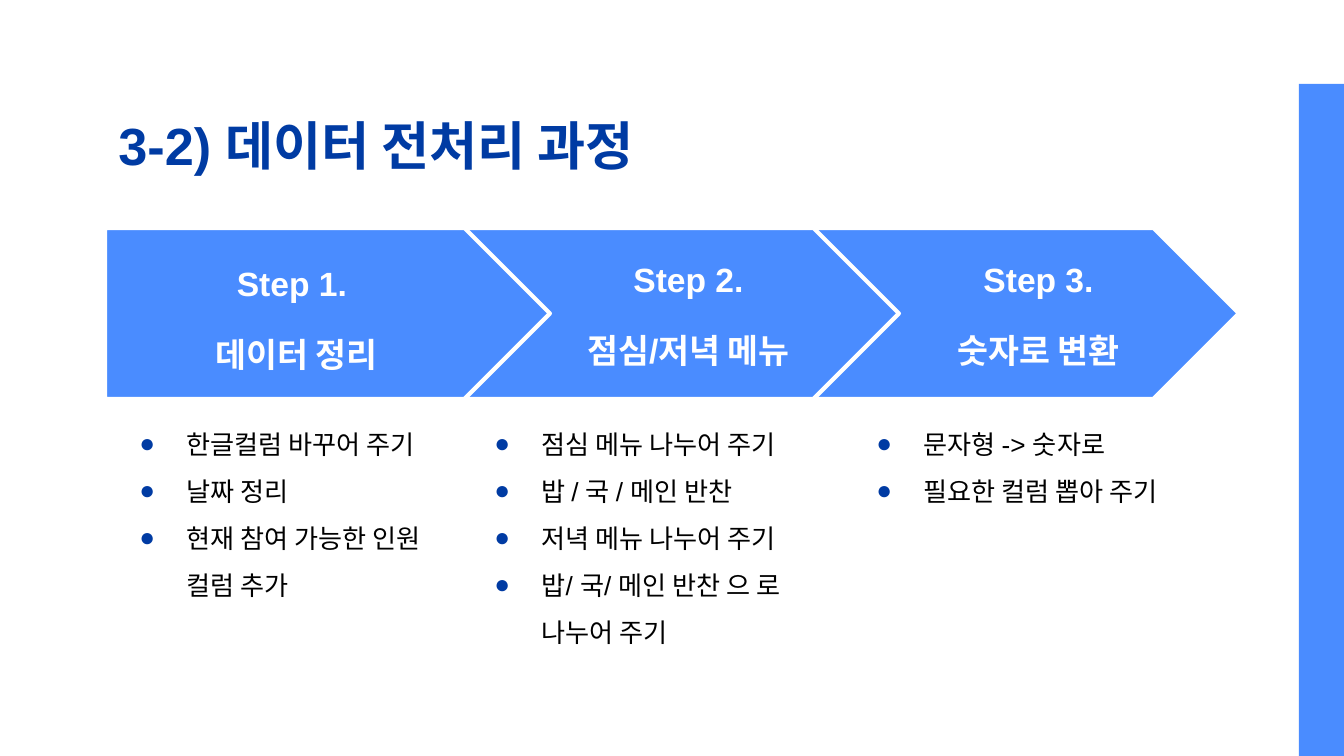
from lxml import etree
from pptx import Presentation
from pptx.dml.color import RGBColor
from pptx.enum.shapes import MSO_SHAPE
from pptx.enum.text import MSO_ANCHOR, MSO_AUTO_SIZE, PP_ALIGN
from pptx.oxml.ns import qn
from pptx.util import Inches, Pt

PENTAGON = MSO_SHAPE.PENTAGON
RECTANGLE = MSO_SHAPE.RECTANGLE
TOP, MIDDLE = MSO_ANCHOR.TOP, MSO_ANCHOR.MIDDLE
LEFT, CENTER = PP_ALIGN.LEFT, PP_ALIGN.CENTER
NO_AUTOFIT = MSO_AUTO_SIZE.NONE

BLUE, NAVY, WHITE, BLACK = "4A8CFF", "003BA3", "FFFFFF", "000000"
FONT = "Arial"
EMU_PER_PX = 914400 / 134.4

TITLE = "3-2) 데이터 전처리 과정"
STEPS = [
    {
        "arrow_left": 105,
        "heading": ["Step 1. ", "데이터 정리"],
        "heading_at": (169, 250),
        "tasks": ["한글컬럼 바꾸어 주기", "날짜 정리", "현재 참여 가능한 인원 컬럼 추가"],
        "tasks_left": 106,
        "tasks_width": 358,
    },
    {
        "arrow_left": 454,
        "heading": ["Step 2.", "점심/저녁 메뉴"],
        "heading_at": (561, 246),
        "tasks": [
            "점심 메뉴 나누어 주기",
            "밥 / 국 / 메인 반찬",
            "저녁 메뉴 나누어 주기",
            "밥/ 국/ 메인 반찬 으 로 나누어 주기",
        ],
        "tasks_left": 461,
        "tasks_width": 395,
    },
    {
        "arrow_left": 794,
        "heading": ["Step 3.", "숫자로 변환"],
        "heading_at": (911, 246),
        "tasks": ["문자형 -> 숫자로", "필요한 컬럼 뽑아 주기"],
        "tasks_left": 843,
        "tasks_width": 395,
    },
]


def px(length):
    return round(length * EMU_PER_PX)


def box(left, top, width, height):
    return [px(length) for length in (left, top, width, height)]


def color(value):
    return RGBColor.from_string(value)


def add_bullet(paragraph):
    properties = paragraph._p.get_or_add_pPr()
    properties.set("marL", str(Inches(0.5)))
    properties.set("indent", str(Inches(-0.35)))
    bullet_color = etree.SubElement(properties, qn("a:buClr"))
    etree.SubElement(bullet_color, qn("a:srgbClr"), val=NAVY)
    etree.SubElement(properties, qn("a:buFont"), typeface=FONT)
    etree.SubElement(properties, qn("a:buChar"), char="●")


def write_text(shape, lines, size, font_color, bold=False, align=LEFT,
               anchor=TOP, line_spacing=None, gap=0, bullets=False):
    frame = shape.text_frame
    frame.word_wrap = True
    frame.auto_size = NO_AUTOFIT
    frame.vertical_anchor = anchor
    frame.margin_left = frame.margin_right = Inches(0.1)
    frame.margin_top = frame.margin_bottom = Inches(0.1)
    for index, line in enumerate(lines):
        paragraph = frame.add_paragraph() if index else frame.paragraphs[0]
        paragraph.alignment = align
        if line_spacing:
            paragraph.line_spacing = line_spacing
        if gap and index:
            paragraph.space_before = paragraph.space_after = Pt(gap)
        if bullets:
            add_bullet(paragraph)
        run = paragraph.add_run()
        run.text = line
        run.font.name = FONT
        run.font.size = Pt(size)
        run.font.bold = bold
        run.font.color.rgb = color(font_color)


def add_block(slide, kind, bounds, line_color=None):
    shape = slide.shapes.add_shape(kind, *bounds)
    shape.shadow.inherit = False
    shape.fill.solid()
    shape.fill.fore_color.rgb = color(BLUE)
    if line_color:
        shape.line.color.rgb = color(line_color)
        shape.line.width = Pt(2.25)
    else:
        shape.line.fill.background()


def main():
    presentation = Presentation()
    presentation.slide_width, presentation.slide_height = px(1344), px(756)
    slide = presentation.slides.add_slide(presentation.slide_layouts[5])

    title = slide.shapes.title
    title.left, title.top, title.width, title.height = box(105, 97, 1133, 95)
    write_text(title, [TITLE], 28, NAVY, bold=True, anchor=MIDDLE)

    add_block(slide, RECTANGLE, box(1299, 84, 45, 672))
    for step in reversed(STEPS):
        add_block(slide, PENTAGON, box(step["arrow_left"], 228, 445, 171), WHITE)

    for step in STEPS:
        heading = slide.shapes.add_textbox(*box(*step["heading_at"], 255, 67))
        write_text(heading, step["heading"], 18, WHITE, bold=True, align=CENTER, gap=16)
        tasks = slide.shapes.add_textbox(
            *box(step["tasks_left"], 399, step["tasks_width"], 245))
        write_text(tasks, step["tasks"], 14, BLACK, line_spacing=1.5, bullets=True)

    presentation.save("out.pptx")


if __name__ == "__main__":
    main()
